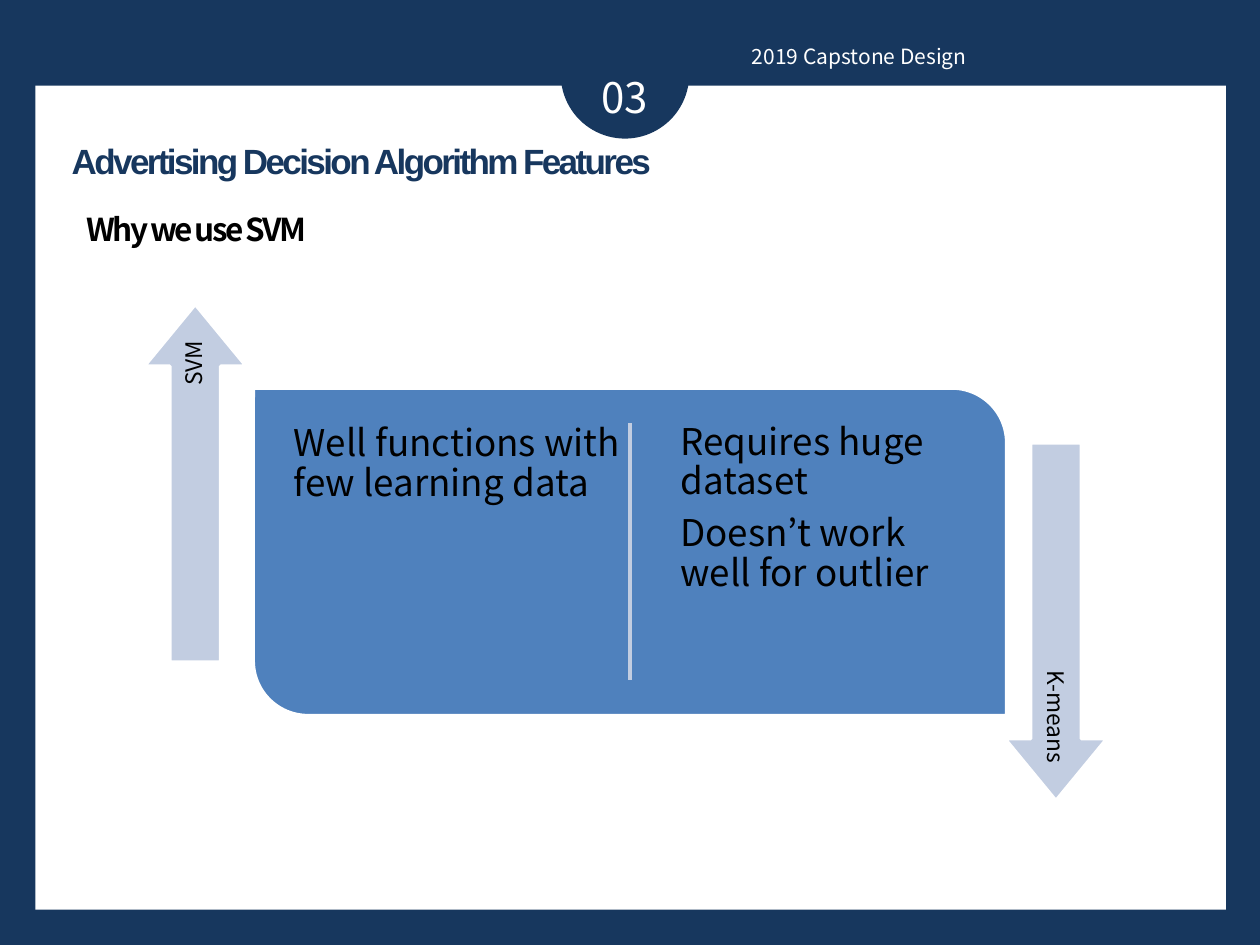
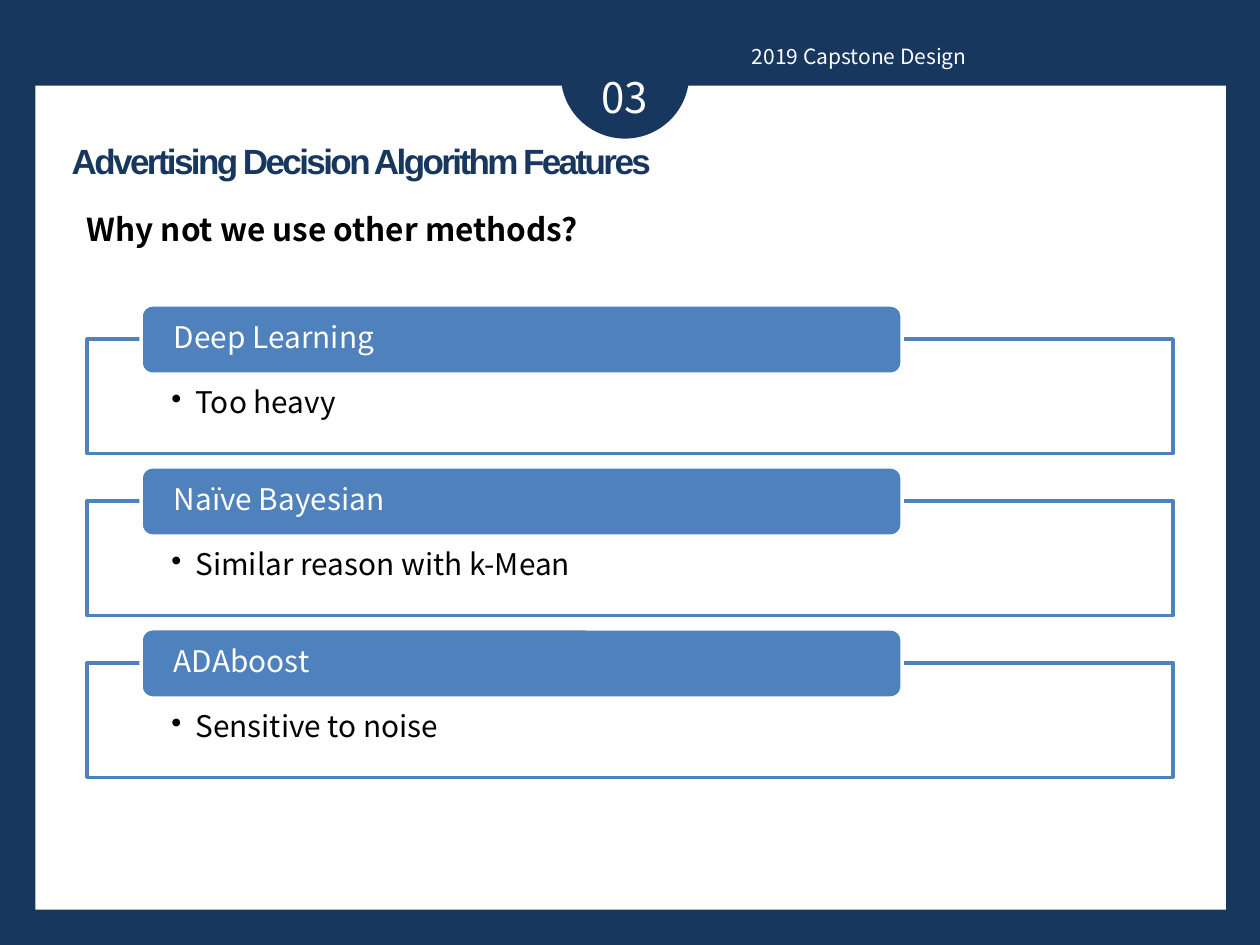
from lxml import etree
from pptx import Presentation
from pptx.dml.color import RGBColor
from pptx.enum.shapes import MSO_CONNECTOR, MSO_SHAPE
from pptx.enum.text import MSO_ANCHOR, MSO_AUTO_SIZE, PP_ALIGN
from pptx.oxml.ns import qn
from pptx.util import Inches, Pt

RECTANGLE = MSO_SHAPE.RECTANGLE
ROUNDED = MSO_SHAPE.ROUNDED_RECTANGLE
DIAGONAL = MSO_SHAPE.ROUND_2_DIAG_RECTANGLE
OVAL = MSO_SHAPE.OVAL
ARROW = MSO_SHAPE.RIGHT_ARROW
STRAIGHT = MSO_CONNECTOR.STRAIGHT
MIDDLE, TOP = MSO_ANCHOR.MIDDLE, MSO_ANCHOR.TOP
GROW, FIXED = MSO_AUTO_SIZE.SHAPE_TO_FIT_TEXT, MSO_AUTO_SIZE.NONE
LEFT, CENTER, RIGHT, JUSTIFY = PP_ALIGN.LEFT, PP_ALIGN.CENTER, PP_ALIGN.RIGHT, PP_ALIGN.JUSTIFY

NAVY, BLUE, PALE, WHITE, BLACK = "17375E", "4F81BD", "C2CDE1", "FFFFFF", "000000"
BODY_FONT, TITLE_FONT = "Noto Sans CJK KR", "Arial"
BOX_INSETS = (0.1, 0.05, 0.1, 0.05)


def rgb(value):
    return RGBColor.from_string(value)


def assign(target, values):
    for name, value in values.items():
        setattr(target, name, value)


class Deck:
    def __init__(self):
        self.presentation = Presentation()
        assign(self.presentation, {"slide_width": Inches(10), "slide_height": Inches(7.5)})
        self.slide = None

    def shape(self, kind, box, fill, line=None, adjustments=(), rotation=0, opacity=None):
        shape = self.slide.shapes.add_shape(kind, *map(Inches, box))
        shape.shadow.inherit = False
        shape.rotation = rotation
        shape.fill.solid()
        shape.fill.fore_color.rgb = rgb(fill)
        if opacity:
            color = shape._element.spPr.find(".//" + qn("a:srgbClr"))
            etree.SubElement(color, qn("a:alpha"), val=str(opacity * 1000))
        if line:
            shape.line.color.rgb = rgb(line)
            shape.line.width = Pt(2)
        else:
            shape.line.fill.background()
        for index, value in enumerate(adjustments):
            shape.adjustments[index] = value

    def text(self, box, paragraphs, size, color=BLACK, font=BODY_FONT, bold=False,
             tracking=0, align=LEFT, anchor=TOP, insets=BOX_INSETS, fit=FIXED,
             rotation=0, line_spacing=None, after=0, bullet=None):
        textbox = self.slide.shapes.add_textbox(*map(Inches, box))
        textbox.rotation = rotation
        frame = textbox.text_frame
        sides = ("margin_left", "margin_top", "margin_right", "margin_bottom")
        assign(frame, dict(zip(sides, map(Inches, insets))))
        assign(frame, {"word_wrap": True, "auto_size": fit, "vertical_anchor": anchor})
        for index, content in enumerate(paragraphs):
            paragraph = frame.paragraphs[0] if index == 0 else frame.add_paragraph()
            assign(paragraph, {"alignment": align, "line_spacing": line_spacing,
                               "space_after": Pt(after)})
            run = paragraph.add_run()
            run.text = content
            assign(run.font, {"name": font, "size": Pt(size), "bold": bold})
            run.font.color.rgb = rgb(color)
            if tracking:
                run._r.get_or_add_rPr().set("spc", str(int(tracking * 100)))
            if bullet:
                properties = paragraph._p.get_or_add_pPr()
                properties.set("marL", str(Inches(0.19)))
                properties.set("indent", str(Inches(-0.19)))
                etree.SubElement(properties, qn("a:buChar"), char=bullet)

    def line(self, start, end, color):
        connector = self.slide.shapes.add_connector(STRAIGHT, *map(Inches, start + end))
        connector.line.color.rgb = rgb(color)
        connector.line.width = Pt(2)
        etree.SubElement(connector._element.spPr, qn("a:effectLst"))

    def new_slide(self, subtitle, tracking=0):
        self.slide = self.presentation.slides.add_slide(self.presentation.slide_layouts[6])
        background = self.slide.background.fill
        background.solid()
        background.fore_color.rgb = rgb(NAVY)
        self.shape(RECTANGLE, (0.28, 0.68, 9.45, 6.54), WHITE)
        self.shape(OVAL, (4.45, 0.08, 1.02, 1.02), NAVY)
        self.text((4.37, 0.52, 1.18, 0.5), ["03"], 24, WHITE, align=CENTER, fit=GROW)
        self.text((5.87, 0.3, 3.94, 0.3), ["2019 Capstone Design"], 12, WHITE,
                  align=JUSTIFY, fit=GROW)
        self.text((0.47, 1.06, 4.85, 0.44), ["Advertising Decision Algorithm Features"], 20,
                  NAVY, TITLE_FONT, bold=True, tracking=-1.5, fit=GROW)
        self.text((0.59, 1.62, 7.4, 0.4), [subtitle], 18, bold=True, tracking=tracking, fit=GROW)

    def argument(self, box, points):
        self.text(box, points, 21, insets=(0.09,) * 4, line_spacing=0.9, after=7)

    def labelled_arrow(self, label, left, top, label_top, rotation):
        self.shape(ARROW, (left, top, 2.84, 0.81), PALE, WHITE, (0.498, 0.607), rotation)
        self.text((left + 0.12, label_top, 2.59, 0.4), [label], 13, align=RIGHT, anchor=MIDDLE,
                  insets=(0.05,) * 4, rotation=rotation, line_spacing=0.9, after=4.5)

    def method_card(self, method, reason, top):
        card = (0.69, top, 8.62, 0.91)
        self.shape(RECTANGLE, card, WHITE, BLUE, opacity=90)
        self.text(card, [reason], 17, insets=(0.67, 0.39, 0.67, 0.13),
                  line_spacing=0.9, after=2.5, bullet="•")
        self.shape(ROUNDED, (1.12, top - 0.27, 6.04, 0.55), BLUE, WHITE)
        self.text((1.15, top - 0.25, 5.98, 0.5), [method], 17, WHITE, anchor=MIDDLE,
                  insets=(0.23, 0, 0.23, 0), line_spacing=0.9, after=6)


def main():
    deck = Deck()

    deck.new_slide("Why we use SVM", tracking=-1.5)
    deck.shape(DIAGONAL, (2.01, 3.08, 5.98, 2.6), BLUE, WHITE, (0, 0.167))
    deck.line((5, 3.36), (5, 5.4), PALE)
    deck.argument((2.24, 3.28, 3.1, 2.21), ["Well functions with few learning data"])
    deck.argument((5.31, 3.27, 2.26, 2.21),
                  ["Requires huge dataset", "Doesn’t work well for outlier"])
    deck.labelled_arrow("SVM", 0.13, 3.43, 3.75, 270)
    deck.labelled_arrow("K-means", 6.96, 4.53, 4.61, 90)

    deck.new_slide("Why not we use other methods?")
    rejected_methods = {
        "Deep Learning": "Too heavy",
        "Naïve Bayesian": "Similar reason with k-Mean",
        "ADAboost": "Sensitive to noise",
    }
    for row, (method, reason) in enumerate(rejected_methods.items()):
        deck.method_card(method, reason, 2.69 + row * 1.285)

    deck.presentation.save("out.pptx")


if __name__ == "__main__":
    main()
